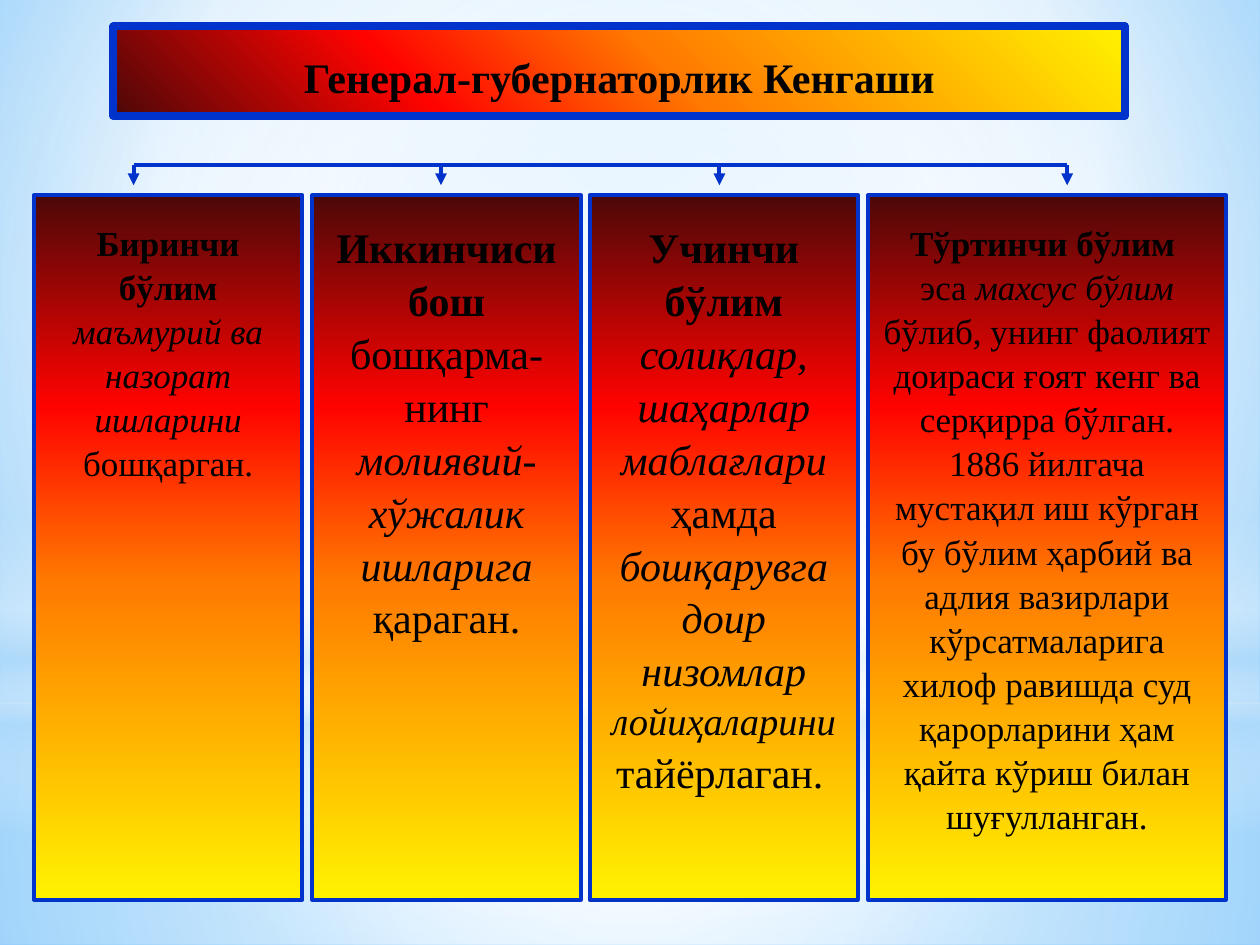
from lxml.etree import SubElement
from pptx import Presentation
from pptx.dml.color import RGBColor
from pptx.enum.shapes import MSO_CONNECTOR, MSO_SHAPE
from pptx.enum.text import MSO_ANCHOR, MSO_AUTO_SIZE, PP_ALIGN
from pptx.oxml import parse_xml
from pptx.oxml.ns import nsdecls, qn
from pptx.util import Inches, Pt

FONT = "Times New Roman"
BLUE = "0033CC"
FIRE = [(0, "4D0808"), (30, "FF0300"), (55, "FF7A00"), (100, "FFF200")]
CENTRE = (50, 50, 50, 50)
BACKDROP = [(0, "9ED5FF"), (60, "FFFFFF"), (100, "5BB9FF")]
GLOWS = [
    (MSO_SHAPE.RECTANGLE, (0, 5.58, 10, 1.92), CENTRE,
     [(0, "FFFFFF", 91), (37, "FFFFFF", 76), (100, "B4DCFA", 79)]),
    (MSO_SHAPE.RECTANGLE, (0, 0, 10, 5.58), CENTRE,
     [(0, "FFFFFF", 89), (48, "FFFFFF", 62), (100, "B4DCFA", 79)]),
    (MSO_SHAPE.RECTANGLE, (0, 4.12, 10, 2.5), 90,
     [(0, "FFFFFF", 0), (29, "FFFFFF", 30), (45, "B4DCFA", 40),
      (55, "FFFFFF", 26), (65, "B4DCFA", 60), (100, "FFFFFF", 0)]),
    (MSO_SHAPE.OVAL, (0, 1.75, 10, 5.58), CENTRE,
     [(0, "FFFFFF", 100), (56, "FFFFFF", 0)]),
]
SECTIONS = [
    (0.27, 2.13, 1.06, [[
        ("Биринчи бўлим ", 20, "b"),
        ("маъмурий ва назорат ишларини ", 20, "i"),
        ("бошқарган.", 20, "")]]),
    (2.48, 2.13, 3.5, [[
        ("Иккинчиси бош", 24, "b"),
        (" бошқарма-нинг ", 24, ""),
        ("молиявий-хўжалик ишларига ", 24, "i"),
        ("қараган.", 24, "")]]),
    (4.68, 2.13, 5.71, [[
        ("Учинчи бўлим ", 24, "b"),
        ("солиқлар, шаҳарлар маблағлари ", 24, "i"),
        ("ҳамда ", 24, ""),
        ("бошқарувга доир низомлар ", 24, "i"),
        ("лойиҳаларини ", 22, "i"),
        ("тайёрлаган.", 24, ""),
        (" ", 18, "")]]),
    (6.89, 2.84, 8.47, [
        [("Тўртинчи бўлим ", 20, "b")],
        [("эса ", 20, ""),
         ("махсус бўлим ", 20, "i"),
         ("бўлиб, унинг фаолият доираси ғоят кенг ва серқирра бўлган. "
          "1886 йилгача мустақил иш кўрган бу бўлим ҳарбий ва адлия "
          "вазирлари кўрсатмаларига хилоф равишда суд қарорларини ҳам "
          "қайта кўриш билан шуғулланган.", 20, "")]]),
]


def paint(target, value):
    target.rgb = RGBColor.from_string(value)


def gradient_fill(fill, properties, stops, direction):
    fill.solid()
    gradient = parse_xml(f'<a:gradFill {nsdecls("a")} rotWithShape="1"/>')
    stop_list = SubElement(gradient, qn("a:gsLst"))
    for position, value, *opacity in stops:
        stop = SubElement(stop_list, qn("a:gs"), pos=str(position * 1000))
        colour = SubElement(stop, qn("a:srgbClr"), val=value)
        if opacity:
            SubElement(colour, qn("a:alpha"), val=str(opacity[0] * 1000))
    if isinstance(direction, tuple):
        path = SubElement(gradient, qn("a:path"), path="circle")
        sides = {side: str(part * 1000) for side, part in zip("ltrb", direction)}
        SubElement(path, qn("a:fillToRect"), **sides)
    else:
        SubElement(gradient, qn("a:lin"), ang=str(direction * 60000), scaled="0")
    properties.replace(properties.find(qn("a:solidFill")), gradient)


def outline(line, width):
    paint(line.fill_color if hasattr(line, "fill_color") else line.color, BLUE)
    line.width = Pt(width)


def add_box(page, kind, place):
    box = page.shapes.add_shape(kind, *map(Inches, place))
    box.shadow.inherit = False
    return box


def write(para, runs, spacing):
    para.alignment = PP_ALIGN.CENTER
    para.line_spacing = spacing
    for words, size, style in runs:
        span = para.add_run()
        span.text = words
        span.font.name = FONT
        span.font.size = Pt(size)
        span.font.bold = "b" in style
        span.font.italic = "i" in style
        paint(span.font.color, "000000")


def add_backdrop(page):
    fill = page.background.fill
    fill.solid()
    properties = page.element.find(".//" + qn("p:bgPr"))
    gradient_fill(fill, properties, BACKDROP, (20, 10, 20, 60))
    for kind, place, direction, stops in GLOWS:
        glow = add_box(page, kind, place)
        gradient_fill(glow.fill, glow.element.spPr, stops, direction)
        glow.line.fill.background()


def add_title(page):
    title = page.shapes.title
    title.element.getparent().append(title.element)
    title.left, title.top, title.width, title.height = map(
        Inches, (0.9, 0.21, 8.03, 0.71))
    title.element.spPr.append(parse_xml(
        f'<a:prstGeom {nsdecls("a")} prst="plaque"><a:avLst>'
        '<a:gd name="adj" fmla="val 16700"/></a:avLst></a:prstGeom>'))
    gradient_fill(title.fill, title.element.spPr, FIRE, 315)
    outline(title.line, 4.5)
    frame = title.text_frame
    frame.auto_size = MSO_AUTO_SIZE.NONE
    frame.vertical_anchor = MSO_ANCHOR.MIDDLE
    write(frame.paragraphs[0], [("Генерал-губернаторлик Кенгаши", 24, "b")], 1.2)


def add_section(page, left, width, paragraphs):
    box = add_box(page, MSO_SHAPE.RECTANGLE, (left, 1.55, width, 5.59))
    gradient_fill(box.fill, box.element.spPr, FIRE, 90)
    outline(box.line, 2.25)
    frame = box.text_frame
    frame.word_wrap = True
    frame.vertical_anchor = MSO_ANCHOR.TOP
    frame.margin_top = Inches(0.19)
    for index, runs in enumerate(paragraphs):
        para = frame.add_paragraph() if index else frame.paragraphs[0]
        write(para, runs, 1.05)


def add_line(page, start, end, arrow=False):
    line = page.shapes.add_connector(
        MSO_CONNECTOR.STRAIGHT, *map(Inches, start + end))
    outline(line.line, 2.25)
    if arrow:
        SubElement(line.line._get_or_add_ln(), qn("a:tailEnd"), type="triangle")
    SubElement(line.element.spPr, qn("a:effectLst"))


def main():
    deck = Presentation()
    deck.slide_width, deck.slide_height = Inches(10), Inches(7.5)
    page = deck.slides.add_slide(deck.slide_layouts[5])
    add_backdrop(page)
    add_title(page)
    for left, width, _, paragraphs in SECTIONS:
        add_section(page, left, width, paragraphs)
    arrows = [section[2] for section in SECTIONS]
    add_line(page, (arrows[0], 1.31), (arrows[-1], 1.31))
    for x in arrows:
        add_line(page, (x, 1.31), (x, 1.47), arrow=True)
    deck.save("out.pptx")


main()
